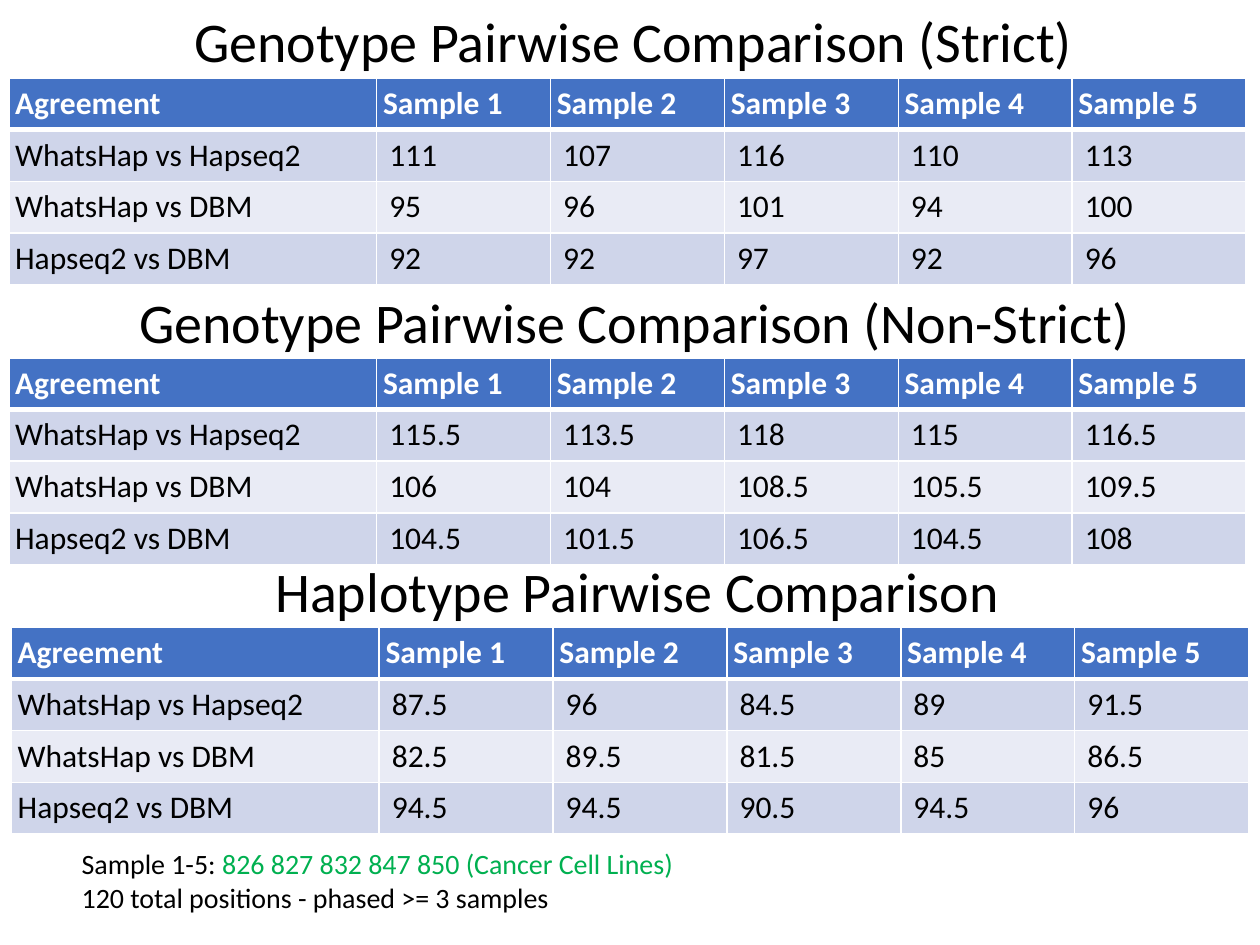
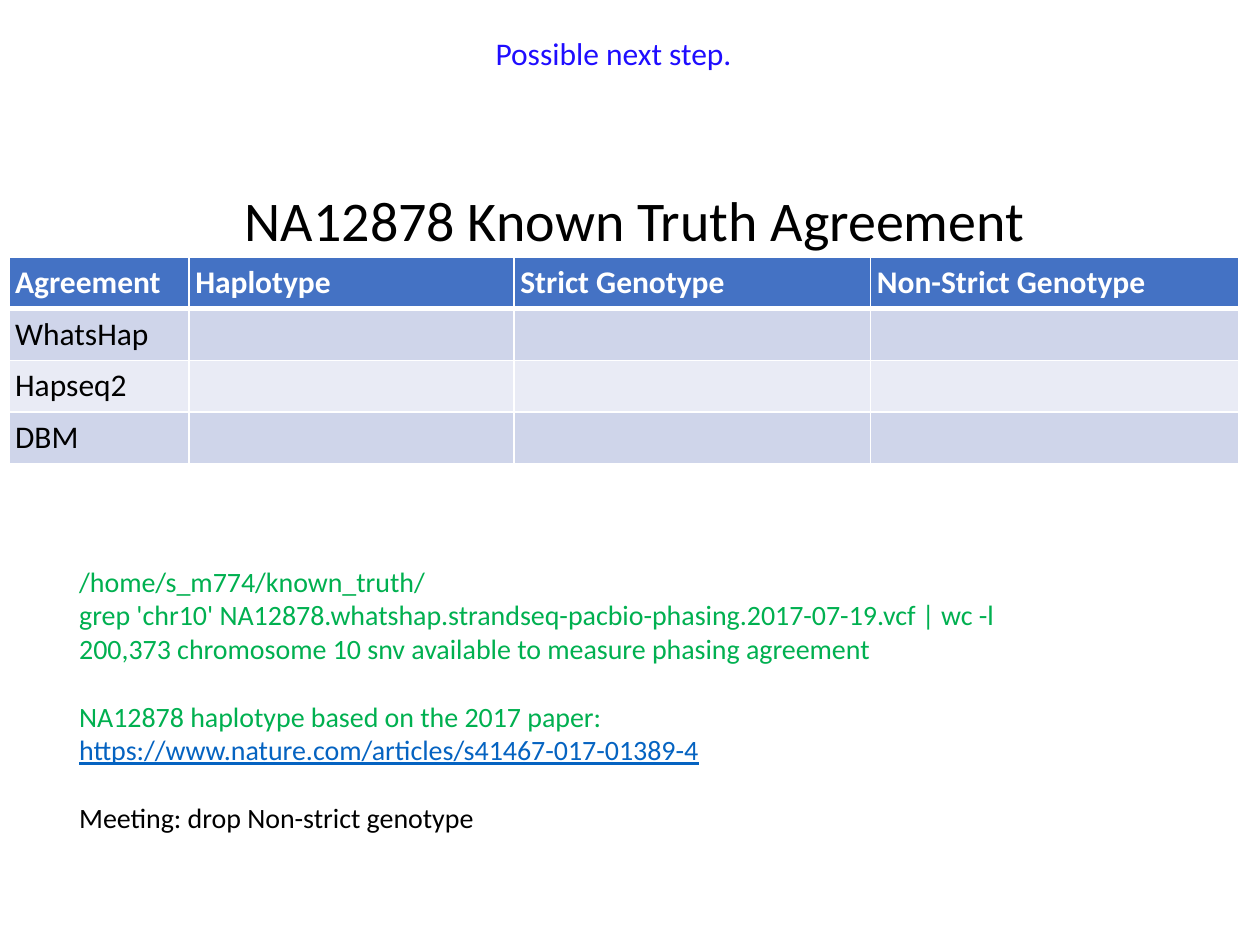
from pptx import Presentation
from pptx.dml.color import RGBColor as RGB
from pptx.enum.text import MSO_ANCHOR as Anchor, MSO_AUTO_SIZE as AutoSize, PP_ALIGN as Align
from pptx.oxml import parse_xml
from pptx.oxml.ns import nsdecls
from pptx.util import Inches, Pt

COLORS = {
    "text": "000000",
    "white": "FFFFFF",
    "header": "4472C4",
    "band_dark": "CFD5EA",
    "band_light": "E9EBF5",
    "green": "00B050",
    "link": "0563C1",
    "blue": "1F0DFF",
}
FONT = "Calibri"
ROW_HEIGHT = 0.41
TITLE_SIZE, TABLE_SIZE, NOTE_SIZE = 32, 18, 16
NOTE_LINE = Pt(19.5)


def write_text(frame, paragraphs, size, align=Align.LEFT, bold=False):
    """Fill a text frame; each paragraph is a list of (text, colour name) runs."""
    frame.word_wrap = True
    for index, runs in enumerate(paragraphs):
        paragraph = frame.paragraphs[0] if index == 0 else frame.add_paragraph()
        paragraph.alignment = align
        for text, color in runs:
            run = paragraph.add_run()
            run.text = text
            run.font.name = FONT
            run.font.size = Pt(size)
            run.font.bold = bold
            run.font.color.rgb = RGB.from_string(COLORS[color])
            if color == "link":
                run.font.underline = True


def add_agreement_table(slide, left, top, widths, rows):
    """Add a banded table with a header row; None leaves a cell empty."""
    table = slide.shapes.add_table(
        len(rows), len(widths), Inches(left), Inches(top),
        Inches(sum(widths)), Inches(ROW_HEIGHT * len(rows))).table
    for column, width in zip(table.columns, widths):
        column.width = Inches(width)
    for r, values in enumerate(rows):
        table.rows[r].height = Inches(ROW_HEIGHT)
        fill = "header" if r == 0 else ("band_dark" if r % 2 else "band_light")
        for c, value in enumerate(values):
            cell = table.cell(r, c)
            line_widths = {"L": 1, "R": 1, "T": 3 if r == 1 else 1, "B": 3 if r == 0 else 1}
            for side, points in line_widths.items():
                cell._tc.get_or_add_tcPr().append(parse_xml(
                    f'<a:ln{side} {nsdecls("a")} w="{Pt(points)}"><a:solidFill>'
                    f'<a:srgbClr val="{COLORS["white"]}"/></a:solidFill></a:ln{side}>'))
            cell.fill.solid()
            cell.fill.fore_color.rgb = RGB.from_string(COLORS[fill])
            cell.margin_top = cell.margin_bottom = Inches(0.05)
            is_label = r == 0 or c == 0
            cell.margin_left = cell.margin_right = Inches(0.05 if is_label else 0.1)
            if value is not None:
                color = "white" if r == 0 else "text"
                write_text(cell.text_frame, [[(str(value), color)]], TABLE_SIZE, bold=r == 0)


prs = Presentation()
prs.slide_width, prs.slide_height = Inches(10), Inches(7.5)
title_only = prs.slide_layouts[5]

# Slide 1: pairwise comparisons
pairwise = prs.slides.add_slide(title_only)
sample_header = ["Agreement"] + [f"Sample {n}" for n in range(1, 6)]
pairs = ["WhatsHap vs Hapseq2", "WhatsHap vs DBM", "Hapseq2 vs DBM"]
sample_widths = [2.92] + [1.38] * 5
comparisons = [
    ("Genotype Pairwise Comparison (Strict)", 0.72, 0, 0.07, 0.62,
     [[111, 107, 116, 110, 113], [95, 96, 101, 94, 100], [92, 92, 97, 92, 96]]),
    ("Genotype Pairwise Comparison (Non-Strict)", 0.73, 2.23, 0.07, 2.84,
     [[115.5, 113.5, 118, 115, 116.5], [106, 104, 108.5, 105.5, 109.5],
      [104.5, 101.5, 106.5, 104.5, 108]]),
    ("Haplotype Pairwise Comparison", 0.75, 4.37, 0.09, 4.98,
     [[87.5, 96, 84.5, 89, 91.5], [82.5, 89.5, 81.5, 85, 86.5],
      [94.5, 94.5, 90.5, 94.5, 96]]),
]
headings = []
for heading, heading_left, heading_top, left, top, scores in comparisons:
    headings.append((pairwise, heading, heading_left, heading_top))
    rows = [sample_header] + [[pair] + values for pair, values in zip(pairs, scores)]
    add_agreement_table(pairwise, left, top, sample_widths, rows)

sample_note = pairwise.shapes.add_textbox(Inches(0.55), Inches(6.67), Inches(8.62), Inches(0.64))
write_text(sample_note.text_frame, [
    [("Sample 1-5: ", "text"), ("826 827 832 847 850 (Cancer Cell Lines)", "green")],
    [("120 total positions - phased >= 3 samples", "text")],
], NOTE_SIZE)

# Slide 2: agreement with the known truth
truth = prs.slides.add_slide(title_only)
headings.append((truth, "NA12878 Known Truth Agreement", 0.73, 1.42))
truth_rows = [["Agreement", "Haplotype", "Strict Genotype", "Non-Strict Genotype"]]
truth_rows += [[method, None, None, None] for method in ("WhatsHap", "Hapseq2", "DBM")]
add_agreement_table(truth, 0.07, 2.04, [1.43, 2.58, 2.83, 2.92], truth_rows)

next_step = truth.shapes.add_textbox(Inches(0.33), Inches(0.22), Inches(9.08), Inches(0.4))
write_text(next_step.text_frame, [[("Possible next step.", "blue")]], TABLE_SIZE, Align.CENTER)

truth_note = truth.shapes.add_textbox(Inches(0.53), Inches(4.43), Inches(8.62), Inches(2.25))
write_text(truth_note.text_frame, [
    [("/home/s_m774/known_truth/", "green")],
    [("grep 'chr10' NA12878.whatshap.strandseq-pacbio-phasing.2017-07-19.vcf | wc -l", "green")],
    [("200,373 chromosome 10 snv available to measure phasing agreement", "green")],
    [("NA12878 haplotype based on the 2017 paper:", "green")],
    [("https://www.nature.com/articles/s41467-017-01389-4", "link")],
    [("Meeting: drop Non-strict genotype", "text")],
], NOTE_SIZE)
for group_start in (3, 5):
    truth_note.text_frame.paragraphs[group_start].space_before = NOTE_LINE

# The first heading of a slide takes its title placeholder
for slide, heading, left, top in headings:
    box = slide.shapes.title
    if box.has_text_frame and box.text_frame.text:
        box = slide.shapes.add_textbox(0, 0, 0, 0)
    box.left, box.top = Inches(left), Inches(top)
    box.width, box.height = Inches(8.62), Inches(0.64)
    box.text_frame.auto_size = AutoSize.NONE
    box.text_frame.vertical_anchor = Anchor.TOP
    write_text(box.text_frame, [[(heading, "text")]], TITLE_SIZE, Align.CENTER)

prs.save("out.pptx")
